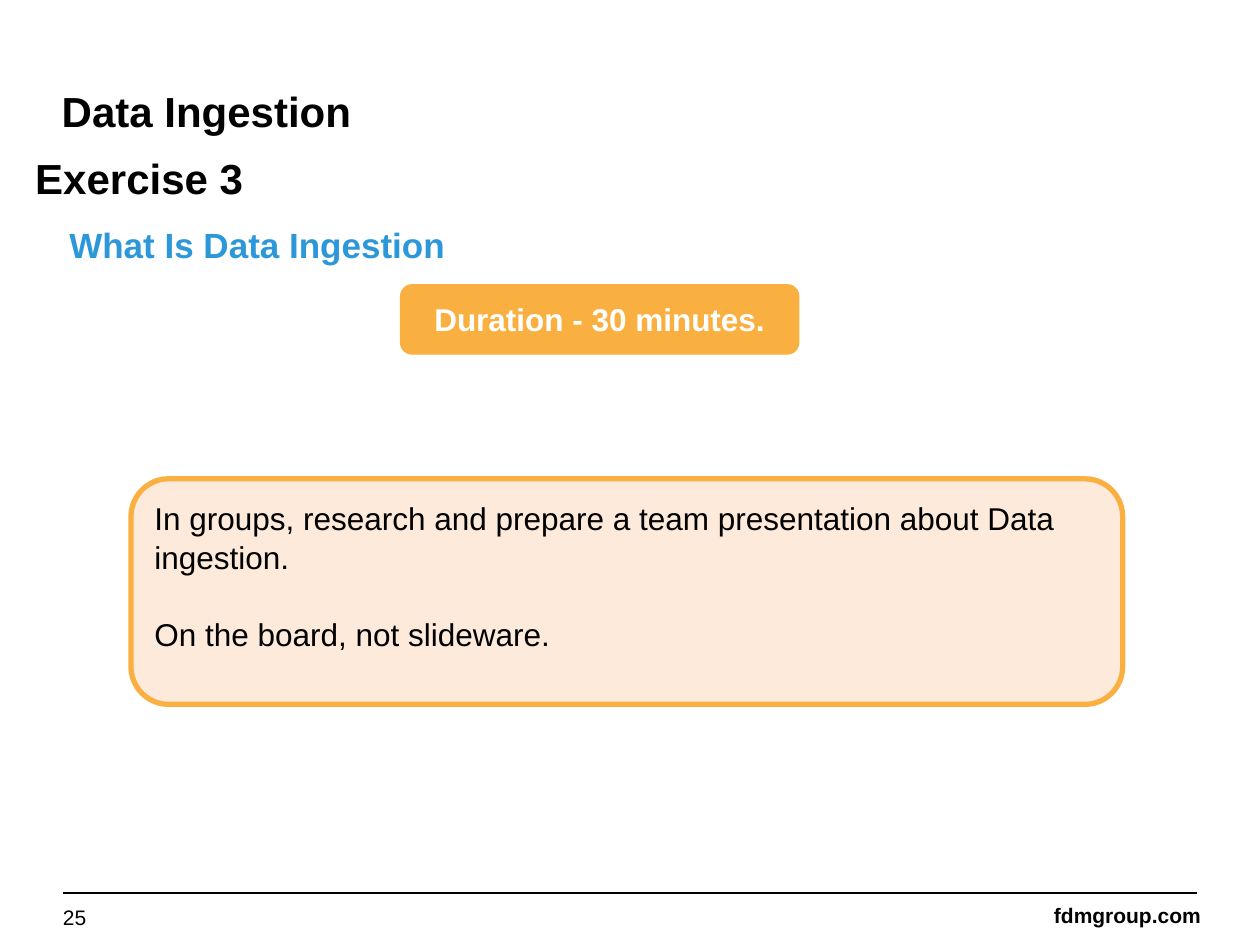
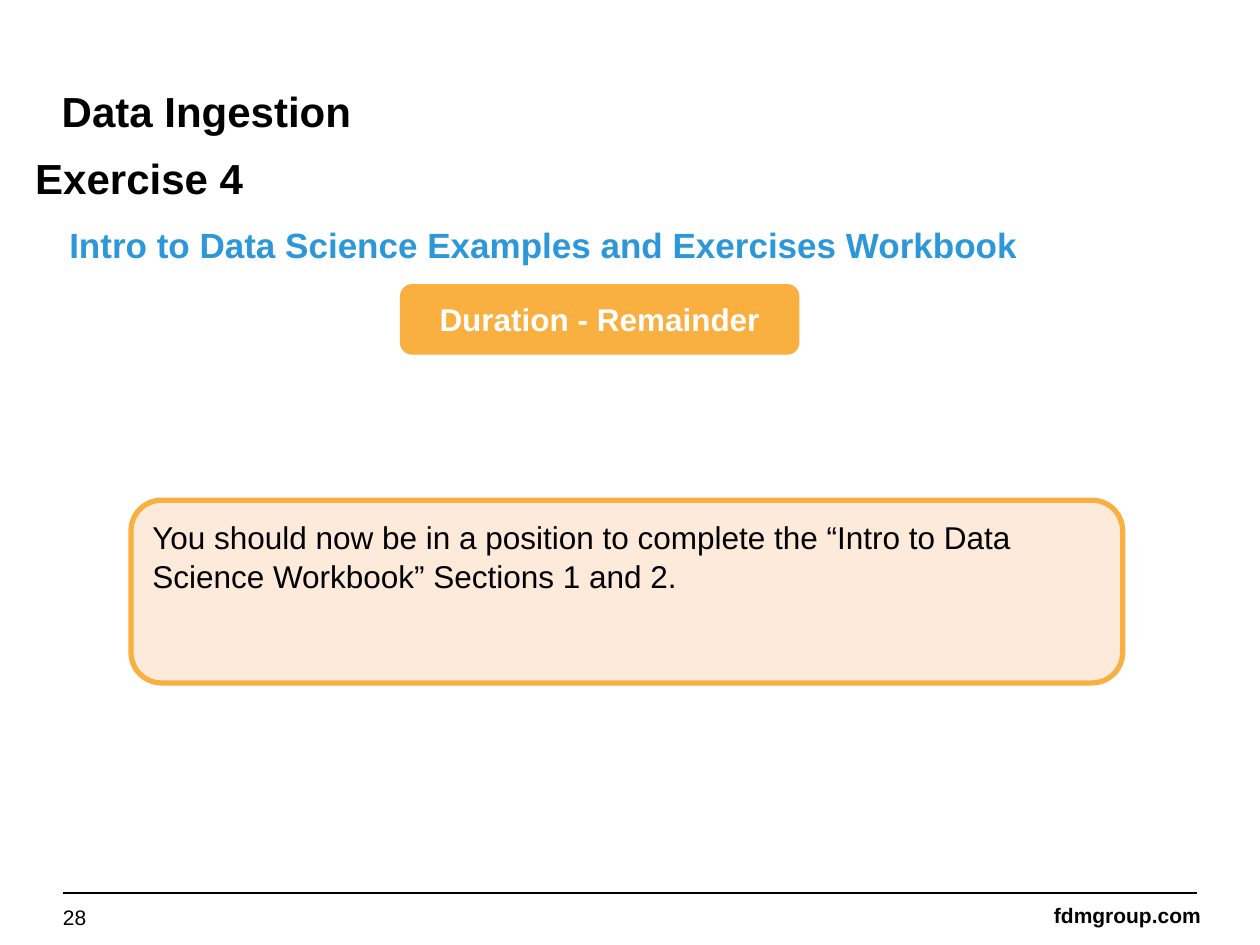
from lxml import etree
from pptx import Presentation
from pptx.dml.color import RGBColor
from pptx.enum.shapes import MSO_CONNECTOR, MSO_SHAPE
from pptx.enum.text import MSO_ANCHOR, PP_ALIGN
from pptx.oxml.ns import qn
from pptx.util import Inches, Pt

EXERCISES = [
    {
        "title": "Exercise 3",
        "topic": "What Is Data Ingestion",
        "duration": "Duration - 30 minutes.",
        "task": [
            "In groups, research and prepare a team presentation about Data ingestion.",
            "On the board, not slideware.",
        ],
        "task_height": 1.79,
        "page": "25",
    },
    {
        "title": "Exercise 4",
        "topic": "Intro to Data Science Examples and Exercises Workbook",
        "duration": "Duration - Remainder",
        "task": [
            "You should now be in a position to complete the “Intro to Data "
            "Science Workbook” Sections 1 and 2.",
        ],
        "task_height": 1.45,
        "page": "28",
    },
]
SECTION = "Data Ingestion"
SITE = "fdmgroup.com"

BLACK = RGBColor(0x00, 0x00, 0x00)
WHITE = RGBColor(0xFF, 0xFF, 0xFF)
BLUE = RGBColor(0x2D, 0x98, 0xD9)
ORANGE = RGBColor(0xFA, 0xB0, 0x41)
PEACH = RGBColor(0xFD, 0xEA, 0xDA)

FONT = "Arial"
SLIDE_WIDTH, SLIDE_HEIGHT = 10, 7.5
MARGIN = 0.5
FOOTER_TOP = 7.09
TASK_MIDDLE = 4.695
BLANK_LAYOUT = 6

LEFT, CENTER, RIGHT = PP_ALIGN.LEFT, PP_ALIGN.CENTER, PP_ALIGN.RIGHT
TOP, MIDDLE = MSO_ANCHOR.TOP, MSO_ANCHOR.MIDDLE
ROUNDED = MSO_SHAPE.ROUNDED_RECTANGLE
STRAIGHT = MSO_CONNECTOR.STRAIGHT

HEADING_INSETS = (0.08, 0.08, 0.08, 0.08)
DEFAULT_INSETS = (0.1, 0.05, 0.1, 0.05)


def write(shape, lines, size, color=BLACK, bold=False, align=LEFT, anchor=TOP,
          insets=DEFAULT_INSETS, wrap=True, spacing=None, gap=0):
    """Fill a shape with paragraphs; gap is the space between them in points."""
    frame = shape.text_frame
    frame.word_wrap = wrap
    frame.vertical_anchor = anchor
    (frame.margin_left, frame.margin_top,
     frame.margin_right, frame.margin_bottom) = map(Inches, insets)
    for index, line in enumerate(lines):
        paragraph = frame.add_paragraph() if index else frame.paragraphs[0]
        paragraph.text = line
        paragraph.alignment = align
        paragraph.line_spacing = spacing
        if index:
            paragraph.space_before = Pt(gap)
        font = paragraph.font
        font.name, font.size, font.bold = FONT, Pt(size), bold
        font.color.rgb = color


def add_text(slide, box, text, size, **style):
    write(slide.shapes.add_textbox(*map(Inches, box)), [text], size, **style)


def add_panel(slide, box, fill, line_width):
    panel = slide.shapes.add_shape(ROUNDED, *map(Inches, box))
    panel.shadow.inherit = False
    panel.fill.solid()
    panel.fill.fore_color.rgb = fill
    panel.line.color.rgb = ORANGE
    panel.line.width = Pt(line_width)
    return panel


def add_footer(slide, page):
    rule = slide.shapes.add_connector(
        STRAIGHT, Inches(MARGIN), Inches(FOOTER_TOP),
        Inches(SLIDE_WIDTH - MARGIN), Inches(FOOTER_TOP))
    rule.line.color.rgb = BLACK
    rule.line.width = Pt(1)
    etree.SubElement(rule._element.spPr, qn("a:effectLst"))
    add_text(slide, (8.25, 7.11, 1.38, 0.3), SITE, 12, bold=True,
             align=RIGHT, anchor=MIDDLE, wrap=False)
    add_text(slide, (MARGIN, 7.18, 2.33, 0.2), page, 12,
             anchor=MIDDLE, insets=(0, 0, 0, 0))


def add_exercise(presentation, exercise):
    slide = presentation.slides.add_slide(presentation.slide_layouts[BLANK_LAYOUT])
    add_footer(slide, exercise["page"])

    add_text(slide, (0.49, 0.68, 9, 0.45), SECTION, 24, bold=True,
             insets=(0, 0, 0, 0.05))
    add_text(slide, (0.2, 1.13, 9.2, 0.55), exercise["title"], 24, bold=True,
             insets=HEADING_INSETS)
    add_text(slide, (0.47, 1.69, 9.33, 0.5), exercise["topic"], 20, color=BLUE,
             bold=True, insets=HEADING_INSETS)

    duration = add_panel(slide, (3.18, 2.26, 3.16, 0.55), ORANGE, 0.75)
    write(duration, [exercise["duration"]], 18, color=WHITE, bold=True,
          align=CENTER, anchor=MIDDLE)

    height = exercise["task_height"]
    task = add_panel(slide, (1.04, TASK_MIDDLE - height / 2, 7.87, height), PEACH, 3)
    write(task, exercise["task"], 18, insets=(0.1, 0.06, 0.1, 0.05),
          spacing=1.04, gap=21.5)


def main():
    presentation = Presentation()
    presentation.slide_width = Inches(SLIDE_WIDTH)
    presentation.slide_height = Inches(SLIDE_HEIGHT)
    for exercise in EXERCISES:
        add_exercise(presentation, exercise)
    presentation.save("out.pptx")


if __name__ == "__main__":
    main()
